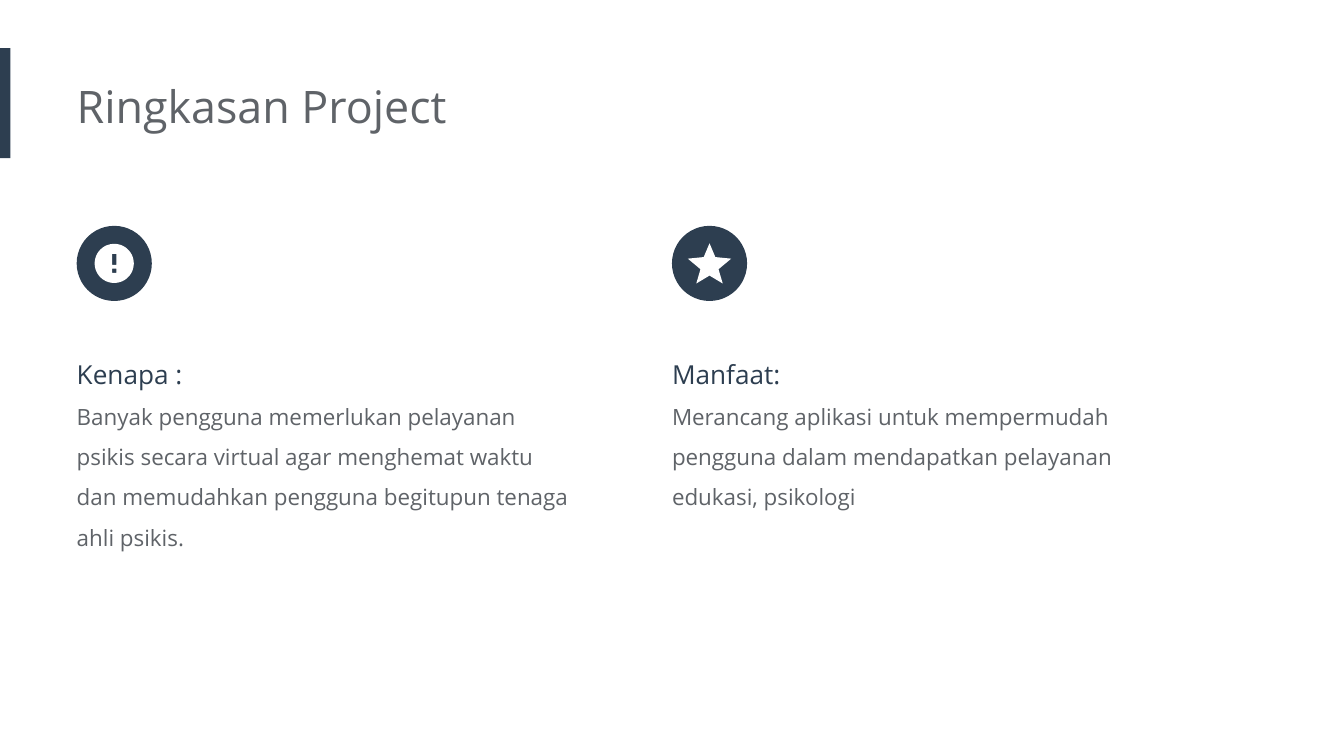
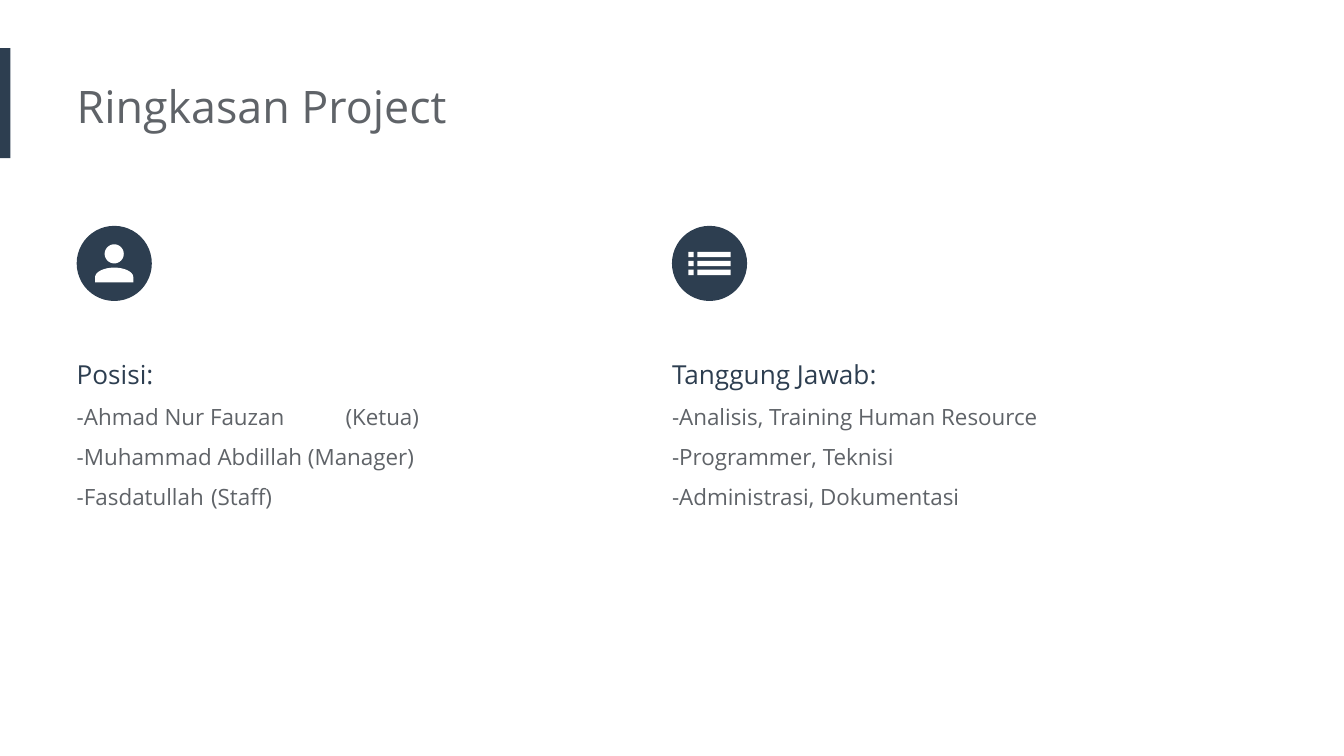
import math

from lxml import etree
from pptx import Presentation
from pptx.dml.color import RGBColor
from pptx.enum.shapes import MSO_SHAPE
from pptx.enum.text import MSO_ANCHOR, MSO_AUTO_SIZE, PP_ALIGN
from pptx.oxml.ns import qn
from pptx.util import Cm, Pt

RECT, OVAL = MSO_SHAPE.RECTANGLE, MSO_SHAPE.OVAL
TOP, LEFT, FIXED = MSO_ANCHOR.TOP, PP_ALIGN.LEFT, MSO_AUTO_SIZE.NONE

NAVY, GREY, WHITE = "2D3E50", "5F6368", "FFFFFF"
FONT = "Open Sans"
TITLE_STYLE = {"name": FONT, "size": Pt(24), "color": GREY}
HEADING_STYLE = {"name": FONT, "size": Pt(14), "color": NAVY}
TEXT_STYLE = {"name": FONT, "size": Pt(12), "color": GREY}

COLUMN_LEFTS = (1.45, 12.7)
COLUMN_WIDTH = 9.58
DISC_TOP, DISC, MID = 4.27, 1.42, 0.71
TEXT_TOP = 6.22


def rgb(color):
    return RGBColor.from_string(color)


def paint(sp, color):
    sp.shadow.inherit = False
    sp.fill.solid()
    sp.fill.fore_color.rgb = rgb(color)
    sp.line.fill.background()


def style_font(font, style):
    for key, value in style.items():
        if key == "color":
            font.color.rgb = rgb(value)
        else:
            setattr(font, key, value)


def place(sp, left, top, width, height):
    """Move a placeholder and give it the deck's text frame settings."""
    box = {"left": left, "top": top, "width": width, "height": height}
    for key, value in box.items():
        setattr(sp, key, Cm(value))
    frame = {"word_wrap": True, "auto_size": FIXED, "vertical_anchor": TOP,
             "margin_left": 0, "margin_right": Cm(0.25),
             "margin_top": Cm(0.25), "margin_bottom": Cm(0.25)}
    for key, value in frame.items():
        setattr(sp.text_frame, key, value)


# Icon outlines: lists of contours, in cm from the corner of the disc.
def arc(cy, rx, ry, start=0, end=360):
    """Points of an elliptical arc centred across the disc."""
    angles = [math.radians(a) for a in range(start, end + 1, 6)]
    return [(MID + rx * math.cos(a), cy + ry * math.sin(a)) for a in angles]


def block(left, top, width, height):
    right, bottom = left + width, top + height
    return [(left, top), (right, top), (right, bottom), (left, bottom)]


def alert_icon():
    return [arc(MID, 0.37, 0.37),
            block(0.67, 0.53, 0.08, 0.21), block(0.67, 0.81, 0.08, 0.08)]


def star_icon():
    half = [(0, 0.33), (0.11, 0.59), (0.41, 0.62),
            (0.17, 0.82), (0.25, 1.09), (0, 0.94)]
    right = [(MID + x, y) for x, y in half]
    left = [(MID - x, y) for x, y in half[-2:0:-1]]
    return [right + left]


def person_icon():
    shoulders = arc(0.97, 0.36, 0.18, 180, 360)
    return [arc(0.53, 0.18, 0.18),
            shoulders + [(MID + 0.36, 1.07), (MID - 0.36, 1.07)]]


def list_icon():
    return [block(left, 0.49 + 0.17 * row, width, 0.1)
            for row in range(3) for left, width in ((0.31, 0.1), (0.48, 0.63))]


def add_icon(slide, left, top, contours):
    disc = slide.shapes.add_shape(OVAL, Cm(left), Cm(top), Cm(DISC), Cm(DISC))
    paint(disc, NAVY)
    outlines = [[(Cm(left + x), Cm(top + y)) for x, y in c] for c in contours]
    builder = slide.shapes.build_freeform(*outlines[0][0])
    for i, outline in enumerate(outlines):
        if i:
            builder.move_to(*outline[0])
        builder.add_line_segments(outline[1:], close=True)
    paint(builder.convert_to_shape(), WHITE)


def add_paragraph(tf, first, text, style, tab=None):
    p = tf.paragraphs[0] if first else tf.add_paragraph()
    pPr = p._p.get_or_add_pPr()
    pPr.set("marL", "0")
    pPr.set("indent", "0")
    etree.SubElement(pPr, qn("a:buNone"))
    if tab:
        tabs = etree.SubElement(pPr, qn("a:tabLst"))
        etree.SubElement(tabs, qn("a:tab"), pos=str(Cm(tab)), algn="l")
    p.line_spacing = 1.5
    p.space_before = Pt(0)
    r = p.add_run()
    r.text = text
    style_font(r.font, style)


def fill_column(slide, body, left, column):
    """Place the icon, heading and lines; a line is (text, tab stop)."""
    icon, heading, lines, height = column
    add_icon(slide, left, DISC_TOP, icon)
    place(body, left, TEXT_TOP, COLUMN_WIDTH, height)
    add_paragraph(body.text_frame, True, heading, HEADING_STYLE)
    for text, tab in lines:
        add_paragraph(body.text_frame, False, text, TEXT_STYLE, tab)


def add_summary_slide(prs, layout, columns):
    slide = prs.slides.add_slide(layout)
    title, *bodies = slide.placeholders
    place(title, COLUMN_LEFTS[0], 1.24, 17.1, 1.55)
    p = title.text_frame.paragraphs[0]
    p.alignment = LEFT
    r = p.add_run()
    r.text = "Ringkasan Project"
    style_font(r.font, TITLE_STYLE)
    for body, left, column in zip(bodies, COLUMN_LEFTS, columns):
        fill_column(slide, body, left, column)
    return slide


def add_band(slide):
    """Add the side band to the layout, so that every slide shows it."""
    band = slide.shapes.add_shape(RECT, 0, Cm(0.91), Cm(0.2), Cm(2.08))
    paint(band, NAVY)
    slide.slide_layout.element.cSld.spTree.append(band.element)


def main():
    prs = Presentation()
    prs.slide_width, prs.slide_height = Cm(25.4), Cm(14.29)
    layout = prs.slide_layouts.get_by_name("Two Content")
    reasons = [("Banyak pengguna memerlukan pelayanan psikis secara virtual "
                "agar menghemat waktu dan memudahkan pengguna begitupun "
                "tenaga ahli psikis.", None)]
    benefits = [("Merancang aplikasi untuk mempermudah pengguna dalam "
                 "mendapatkan pelayanan edukasi, psikologi", None)]
    people = [("-Ahmad Nur Fauzan\t(Ketua)", 4.36),
              ("-Muhammad Abdillah (Manager)", None),
              ("-Fasdatullah\t(Staff)", 5.62)]
    duties = [("-Analisis, Training Human Resource", None),
              ("-Programmer, Teknisi", None),
              ("-Administrasi, Dokumentasi", None)]
    slide = add_summary_slide(prs, layout, [
        (alert_icon(), "Kenapa :", reasons, 5.77),
        (star_icon(), "Manfaat:", benefits, 5)])
    add_band(slide)
    add_summary_slide(prs, layout, [
        (person_icon(), "Posisi:", people, 3.45),
        (list_icon(), "Tanggung Jawab:", duties, 3.45)])
    prs.save("out.pptx")


if __name__ == "__main__":
    main()
